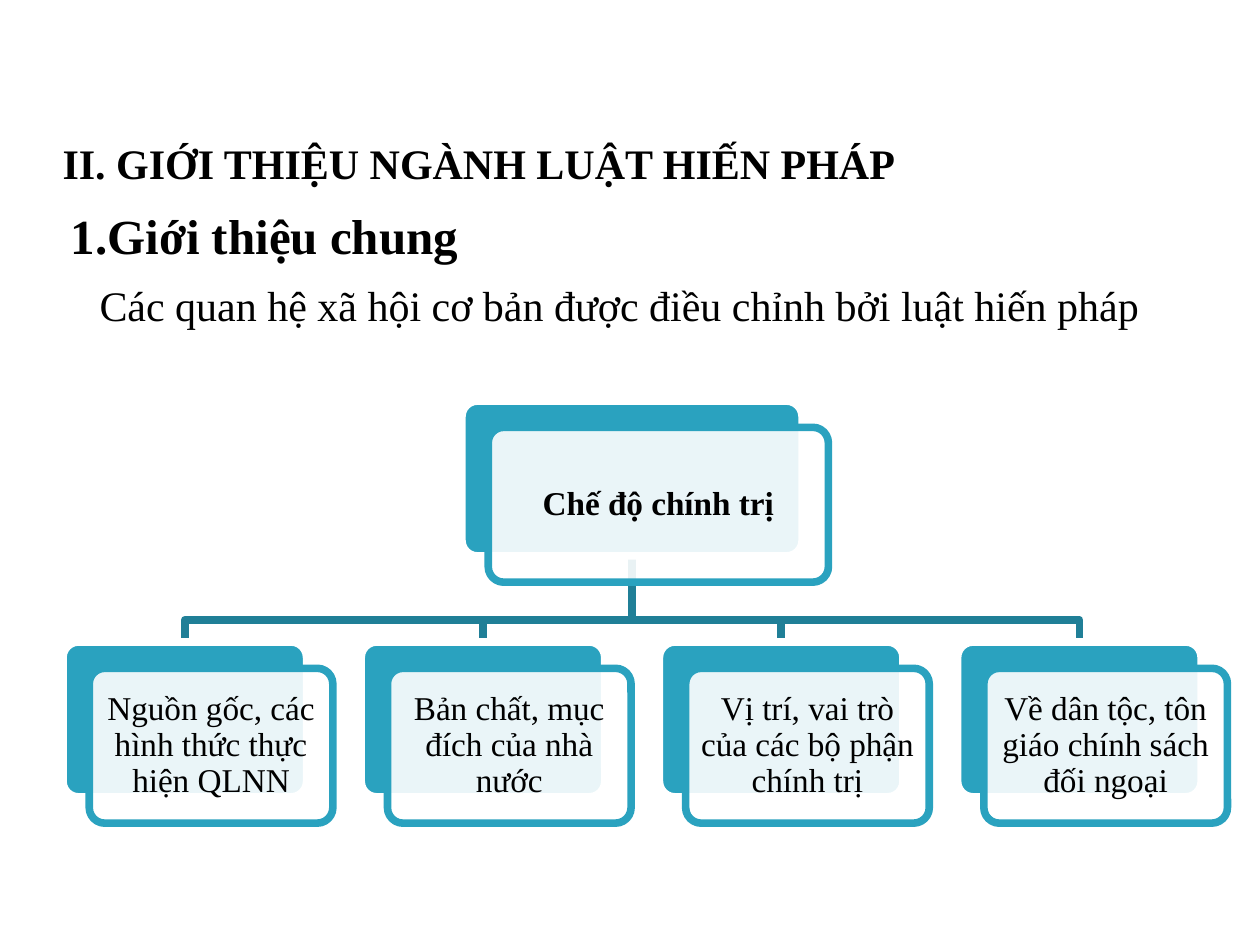
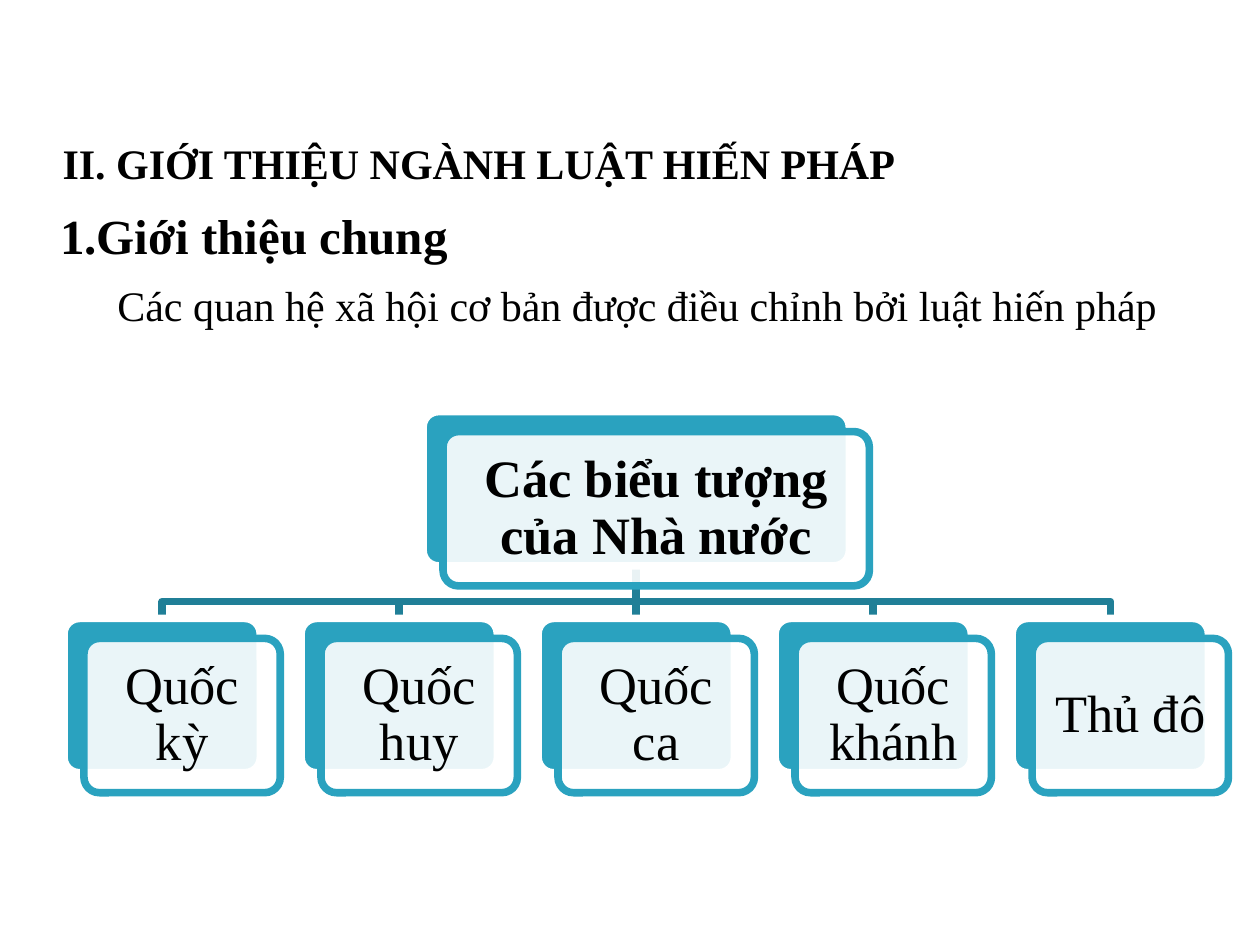
from dataclasses import dataclass

from lxml.etree import SubElement
from pptx import Presentation
from pptx.dml.color import RGBColor
from pptx.enum.shapes import MSO_SHAPE
from pptx.enum.text import MSO_ANCHOR, PP_ALIGN
from pptx.oxml.ns import qn
from pptx.util import Inches, Pt

UNITS_PER_INCH = 12
FONT = "Times New Roman"
BLACK, WHITE, TEAL, DARK_TEAL = "000000", "FFFFFF", "2AA2BF", "207F97"
LINE_WIDTH = Pt(4.33)
CARD_OPACITY = 90
CORNER = 0.1
BEND_SHARE = 0.85

TITLE = "II. GIỚI THIỆU NGÀNH LUẬT HIẾN PHÁP "
HEADING = "Giới thiệu chung"
SUBTITLE = "Các quan hệ xã hội cơ bản được điều chỉnh bởi luật hiến pháp"
TITLE_BOX = (0, 11, 92, 9)


@dataclass
class Tree:
    box: tuple
    root_width: float
    card_width: float
    card_height: float
    shift: float
    size: int
    inset: float
    root: str
    branches: list


def units(value):
    return round(Inches(value / UNITS_PER_INCH))


def color(value):
    return RGBColor.from_string(value)


def apply(target, values):
    for name, value in values.items():
        setattr(target, name, value)


def place(shape, box):
    apply(shape, dict(zip(("left", "top", "width", "height"), map(units, box))))


def write(shape, text, size, bold=False, align=PP_ALIGN.CENTER,
          anchor=MSO_ANCHOR.TOP, spacing=1.0, insets=(0.1, 0.05), numbered=False):
    frame = shape.text_frame
    across, down = map(Inches, insets)
    apply(frame, {"word_wrap": True, "vertical_anchor": anchor,
                  "margin_left": across, "margin_right": across,
                  "margin_top": down, "margin_bottom": down})
    frame.text = text
    paragraph = frame.paragraphs[0]
    apply(paragraph, {"alignment": align, "line_spacing": spacing})
    if numbered:
        properties = paragraph._p.get_or_add_pPr()
        properties.set("marL", str(Inches(0.82)))
        properties.set("indent", str(Inches(-0.19)))
        SubElement(properties, qn("a:buFont"), typeface="+mj-lt")
        SubElement(properties, qn("a:buAutoNum"), type="arabicPeriod")
    font = paragraph.runs[0].font
    apply(font, {"name": FONT, "size": Pt(size), "bold": bold})
    font.color.rgb = color(BLACK)


def add_text(slide, box, text, size, **style):
    write(slide.shapes.add_textbox(*map(units, box)), text, size, **style)


def add_header(slide, heading_box, subtitle_box, subtitle, subtitle_align):
    title = slide.shapes.title
    place(title, TITLE_BOX)
    write(title, TITLE, 24, bold=True, anchor=MSO_ANCHOR.MIDDLE)
    add_text(slide, heading_box, HEADING, 28, bold=True,
             align=PP_ALIGN.LEFT, numbered=True)
    add_text(slide, subtitle_box, subtitle, 24, align=subtitle_align)


def set_line(shape, line_color):
    shape.shadow.inherit = False
    shape.line.color.rgb = color(line_color)
    shape.line.width = LINE_WIDTH


def add_panel(slide, box, fill_color, line_color):
    panel = slide.shapes.add_shape(MSO_SHAPE.ROUNDED_RECTANGLE, *map(units, box))
    panel.adjustments[0] = CORNER
    panel.fill.solid()
    panel.fill.fore_color.rgb = color(fill_color)
    set_line(panel, line_color)
    return panel


def add_card(slide, box, tree, text, bold=False):
    left, top, width, height = box
    add_panel(slide, box, TEAL, WHITE)
    front = add_panel(slide, (left + tree.shift, top + tree.shift, width, height), WHITE, TEAL)
    fill = front._element.spPr.find(qn("a:solidFill"))
    SubElement(fill[0], qn("a:alpha"), val=str(CARD_OPACITY * 1000))
    write(front, text, tree.size, bold=bold, anchor=MSO_ANCHOR.MIDDLE,
          spacing=0.9, insets=(tree.inset, tree.inset))


def add_branch_line(slide, start, bend, end):
    points = [start, (start[0], bend), (end[0], bend), end]
    points = [(units(x), units(y)) for x, y in points]
    builder = slide.shapes.build_freeform(*points[0])
    builder.add_line_segments(points[1:], close=False)
    line = builder.convert_to_shape()
    line.fill.background()
    set_line(line, DARK_TEAL)


def add_tree(slide, tree):
    left, top, width, height = tree.box
    row_width = width - tree.shift
    center = left + row_width / 2
    root_bottom = top + tree.card_height
    row_top = top + height - tree.shift - tree.card_height
    step = (row_width - tree.card_width) / (len(tree.branches) - 1)
    lefts = [left + index * step for index in range(len(tree.branches))]
    for card_left in lefts:
        add_branch_line(slide, (center, root_bottom), row_top - tree.shift * BEND_SHARE,
                        (card_left + tree.card_width / 2, row_top))
    root_box = (center - tree.root_width / 2, top, tree.root_width, tree.card_height)
    add_card(slide, root_box, tree, tree.root, bold=True)
    for card_left, text in zip(lefts, tree.branches):
        add_card(slide, (card_left, row_top, tree.card_width, tree.card_height), tree, text)


POLITICAL_SYSTEM = Tree(
    box=(6, 38.2, 110.9, 40.2), root_width=32.4, card_width=23.2, card_height=14.75,
    shift=2.5, size=19, inset=0.08, root="Chế độ chính trị",
    branches=["Nguồn gốc, các hình thức thực hiện QLNN",
              "Bản chất, mục đích của nhà nước",
              "Vị trí, vai trò của các bộ phận chính trị",
              "Về dân tộc, tôn giáo chính sách đối ngoại"])

STATE_SYMBOLS = Tree(
    box=(6.1, 39.2, 110.9, 36.3), root_width=40.6, card_width=18.7, card_height=14.7,
    shift=1.9, size=30, inset=0.12, root="Các biểu tượng của Nhà nước",
    branches=["Quốc kỳ", "Quốc huy", "Quốc ca", "Quốc khánh", "Thủ đô"])

SLIDES = [
    ((-2, 19, 51, 9), (5, 26, 109, 6), SUBTITLE + " ", PP_ALIGN.CENTER, POLITICAL_SYSTEM),
    ((-3, 19, 54, 7), (10, 26, 109, 6), SUBTITLE, PP_ALIGN.LEFT, STATE_SYMBOLS),
]


def main():
    presentation = Presentation()
    apply(presentation, {"slide_width": Inches(10), "slide_height": Inches(7.5)})
    title_only = presentation.slide_layouts[5]
    for *header, tree in SLIDES:
        slide = presentation.slides.add_slide(title_only)
        add_header(slide, *header)
        add_tree(slide, tree)
    presentation.save("out.pptx")


if __name__ == "__main__":
    main()
